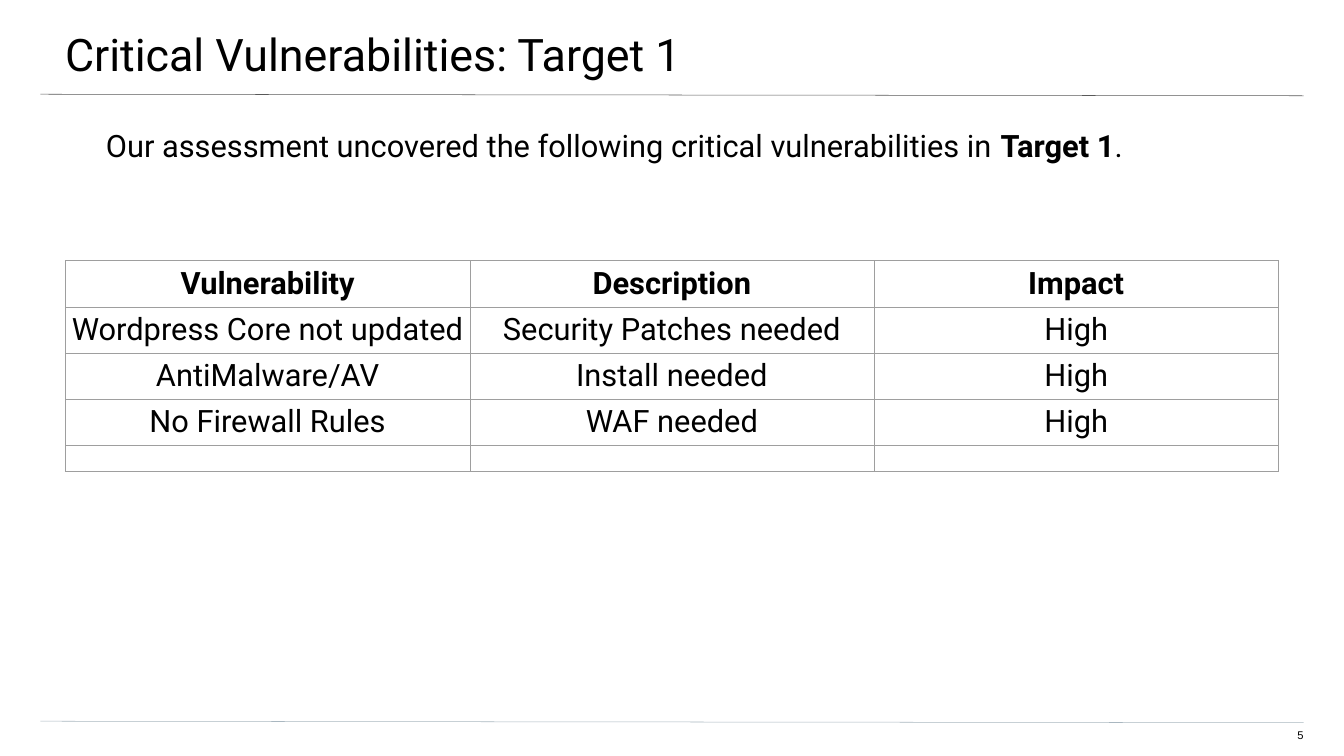
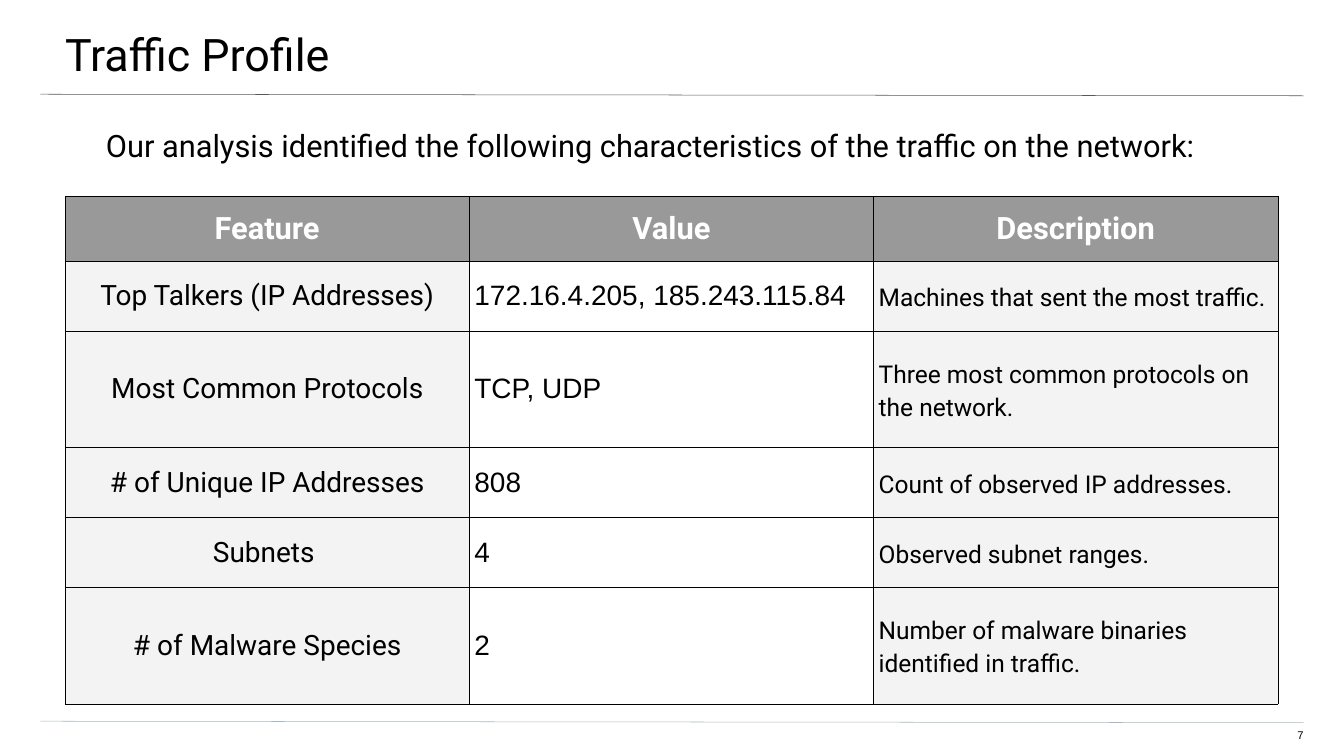
from lxml import etree
from pptx import Presentation
from pptx.dml.color import RGBColor
from pptx.enum.shapes import MSO_CONNECTOR
from pptx.enum.text import MSO_ANCHOR, MSO_AUTO_SIZE, PP_ALIGN
from pptx.oxml.ns import qn
from pptx.util import Inches, Pt

BLACK, WHITE = "000000", "FFFFFF"
HEADER_GREY, CELL_GREY = "999999", "F3F3F3"
TOP_RULE, BOTTOM_RULE, TABLE_RULE = "595959", "A9B7C0", "9E9E9E"
SANS, PLAIN = "Roboto", "Arial"
TITLE_SIZE, BODY_SIZE, NUMBER_SIZE = 64, 44, 16
COLUMN_WIDTH = 8.02

VULNERABILITIES = [
    ("Vulnerability", "Description", "Impact"),
    ("Wordpress Core not updated", "Security Patches needed", "High"),
    ("AntiMalware/AV", "Install needed", "High"),
    ("No Firewall Rules", "WAF needed", "High"),
    ("", "", ""),
]
TRAFFIC = [
    ("Feature", "Value", "Description"),
    ("Top Talkers (IP Addresses)", "172.16.4.205, 185.243.115.84",
     "Machines that sent the most traffic."),
    ("Most Common Protocols", "TCP, UDP", "Three most common protocols on the network."),
    ("# of Unique IP Addresses", "808", "Count of observed IP addresses."),
    ("Subnets ", "4", "Observed subnet ranges."),
    ("# of Malware Species", "2", "Number of malware binaries identified in traffic."),
]
TRAFFIC_COLUMNS = [
    dict(fill=CELL_GREY, size=40, align=PP_ALIGN.CENTER),
    dict(size=40, font=PLAIN),
    dict(fill=CELL_GREY, size=35, line_spacing=1.15, space_after=10),
]


def color(value):
    """Turn a hex string into a colour."""
    return RGBColor.from_string(value)


def write(para, text, size=BODY_SIZE, font=SANS, fill=BLACK, bold=False,
          align=None, line_spacing=None, space_after=None):
    """Add a formatted span to a paragraph."""
    if align is not None:
        para.alignment = align
    if line_spacing:
        para.line_spacing = line_spacing
    if space_after:
        para.space_after = Pt(space_after)
    span = para.add_run()
    span.text = text
    span.font.size = Pt(size)
    span.font.name = font
    span.font.bold = bold
    span.font.color.rgb = color(fill)


def add_text(page, frame, insets, spans, **style):
    """Add a fixed text box whose spans are pairs of text and boldness."""
    box = page.shapes.add_textbox(*map(Inches, frame)).text_frame
    box.auto_size = MSO_AUTO_SIZE.NONE
    box.word_wrap = True
    box.vertical_anchor = MSO_ANCHOR.TOP
    box.margin_left, box.margin_top, box.margin_right = map(Inches, insets)
    box.margin_bottom = 0
    for text, bold in spans:
        write(box.paragraphs[0], text, bold=bold, **style)


def add_rule(page, top, fill):
    """Draw a slightly sloping rule across the page."""
    rule = page.shapes.add_connector(
        MSO_CONNECTOR.STRAIGHT, *map(Inches, (0.8, top, 25.86, top + 0.03)))
    rule.line.color.rgb = color(fill)
    rule.line.width = Pt(0.75)
    etree.SubElement(rule.element.spPr, qn("a:effectLst"))


def add_page(deck, title, number, intro, **style):
    """Add a page with its rules, title, number and introduction."""
    page = deck.slides.add_slide(deck.slide_layouts[6])
    page.background.fill.solid()
    page.background.fill.fore_color.rgb = color(WHITE)
    add_rule(page, 1.87, TOP_RULE)
    add_rule(page, 14.31, BOTTOM_RULE)
    add_text(page, (-0.04, 0, 26.73, 1.56), (1.33, 0.53, 0.8),
             [(title, False)], size=TITLE_SIZE)
    add_text(page, (25.1, 14.46, 0.76, 0.31), (0, 0, 0),
             [(number, False)], size=NUMBER_SIZE, font=PLAIN, align=PP_ALIGN.RIGHT)
    add_text(page, (0.77, 2.51, 25.09, 10.79), (1.33, 0, 1.33), intro, **style)
    return page


def add_borders(cell, fill):
    """Draw thin borders on all sides of a cell."""
    properties = cell._tc.get_or_add_tcPr()
    for index, side in enumerate(("lnL", "lnR", "lnT", "lnB")):
        line = etree.Element(qn(f"a:{side}"), w=str(Pt(0.75)))
        solid = etree.SubElement(line, qn("a:solidFill"))
        etree.SubElement(solid, qn("a:srgbClr"), val=fill)
        properties.insert(index, line)


def fill_cell(cell, text, border, fill=None, text_fill=BLACK,
              anchor=MSO_ANCHOR.TOP, **style):
    """Set the text, fill and borders of a cell."""
    cell.margin_left = cell.margin_right = Inches(0.1)
    cell.margin_top = cell.margin_bottom = Inches(0.1)
    cell.vertical_anchor = anchor
    if fill:
        cell.fill.solid()
        cell.fill.fore_color.rgb = color(fill)
    else:
        cell.fill.background()
    add_borders(cell, border)
    if text:
        write(cell.text_frame.paragraphs[0], text, fill=text_fill, **style)


def add_grid(page, left, top, heights, rows, border, header, columns, **shared):
    """Add a table with one style for its header and one for each column."""
    frame = page.shapes.add_table(
        len(rows), len(columns), Inches(left), Inches(top),
        Inches(COLUMN_WIDTH * len(columns)), Inches(sum(heights)))
    table = frame.table
    table.first_row = table.horz_banding = False
    for column in table.columns:
        column.width = Inches(COLUMN_WIDTH)
    for row_index, (height, texts) in enumerate(zip(heights, rows)):
        table.rows[row_index].height = Inches(height)
        for column_index, text in enumerate(texts):
            style = columns[column_index] if row_index else header
            fill_cell(table.cell(row_index, column_index), text, border, **style, **shared)


def main():
    """Build and save the deck."""
    deck = Presentation()
    deck.slide_width, deck.slide_height = Inches(26.66), Inches(15)
    centred = dict(align=PP_ALIGN.CENTER)
    header = dict(bold=True, **centred)

    page = add_page(
        deck, "Critical Vulnerabilities: Target 1", "5",
        [("Our assessment uncovered the following critical vulnerabilities in ", False),
         ("Target 1", True), (".", False)])
    add_grid(page, 1.3, 5.17, [0.42] * 5, VULNERABILITIES, TABLE_RULE, header, [centred] * 3)

    page = add_page(
        deck, "Traffic Profile", "7",
        [("Our analysis identified the following characteristics of the traffic "
          "on the network:", False)], space_after=12)
    add_grid(page, 1.29, 3.9, [1.28, 1.39, 2.31, 1.39, 1.39, 2.31], TRAFFIC, BLACK,
             dict(fill=HEADER_GREY, text_fill=WHITE, **header), TRAFFIC_COLUMNS,
             anchor=MSO_ANCHOR.MIDDLE)

    deck.save("out.pptx")


if __name__ == "__main__":
    main()
